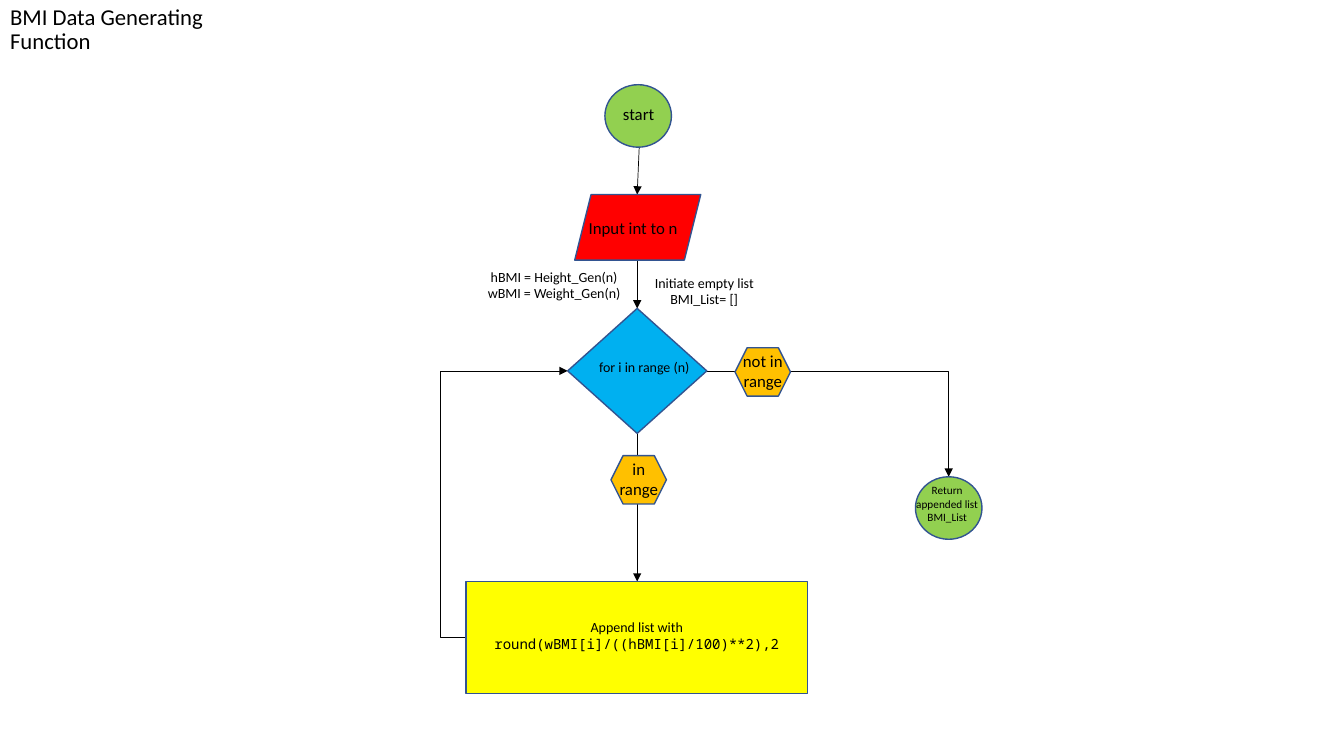
from dataclasses import dataclass

from pptx import Presentation
from pptx.dml.color import RGBColor
from pptx.enum.shapes import MSO_CONNECTOR as Link, MSO_SHAPE as Geom
from pptx.enum.text import MSO_ANCHOR as Anchor, MSO_AUTO_SIZE as AutoSize, PP_ALIGN as Align
from pptx.oxml.ns import qn
from pptx.slide import Slide
from pptx.util import Inches, Pt
from lxml.etree import SubElement

BLACK = RGBColor(0x00, 0x00, 0x00)
OUTLINE = RGBColor(0x32, 0x54, 0x91)
GREEN = RGBColor(0x92, 0xD0, 0x50)
RED = RGBColor(0xFF, 0x00, 0x00)
BLUE = RGBColor(0x00, 0xB0, 0xF0)
ORANGE = RGBColor(0xFF, 0xC0, 0x00)
YELLOW = RGBColor(0xFF, 0xFF, 0x00)
BODY_FONT = "Calibri"
CODE_FONT = "Noto Sans Mono"


@dataclass(frozen=True)
class Node:
    geom: Geom
    left: float
    top: float
    width: float
    height: float
    fill: RGBColor


@dataclass(frozen=True)
class Label:
    lines: tuple[str, ...]
    left: float
    top: float
    width: float
    height: float
    size: float
    align: Align = Align.CENTER
    last_font: str = BODY_FONT


@dataclass(frozen=True)
class Arrow:
    start: tuple[float, float]
    end: tuple[float, float]
    preset: str = "line"
    bend: int | None = None


ARROWS = (
    Arrow((6.34, 1.46), (6.32, 1.93)),
    Arrow((6.32, 2.58), (6.32, 3.06)),
    Arrow((6.32, 4.3), (6.32, 5.77)),
    Arrow((4.62, 6.32), (5.63, 3.68), "bentConnector3", -24700),
    Arrow((7.01, 3.68), (9.41, 4.73), "bentConnector2"),
)

NODES = (
    Node(Geom.OVAL, 6, 0.84, 0.66, 0.62, GREEN),
    Node(Geom.PARALLELOGRAM, 5.7, 1.93, 1.25, 0.65, RED),
    Node(Geom.DIAMOND, 5.63, 3.06, 1.38, 1.24, BLUE),
    Node(Geom.HEXAGON, 6.06, 4.52, 0.55, 0.48, ORANGE),
    Node(Geom.HEXAGON, 7.29, 3.45, 0.55, 0.48, ORANGE),
    Node(Geom.RECTANGLE, 4.62, 5.77, 3.39, 1.11, YELLOW),
    Node(Geom.OVAL, 9.08, 4.73, 0.66, 0.62, GREEN),
)

LABELS = (
    Label(("start",), 6.08, 0.98, 0.52, 0.3, 12, Align.LEFT),
    Label(("Input int to n",), 5.74, 2.11, 1.27, 0.3, 12, Align.LEFT),
    Label(("hBMI = Height_Gen(n)", "wBMI = Weight_Gen(n)"), 4.62, 2.61, 1.75, 0.44, 10),
    Label(("Initiate empty list BMI_List= []",), 6.11, 2.67, 1.75, 0.44, 10),
    Label(("for i in range (n)",), 5.81, 3.51, 1.16, 0.27, 10),
    Label(("in range",), 5.99, 4.5, 0.69, 0.5, 12),
    Label(("not in range",), 7.22, 3.43, 0.69, 0.5, 12),
    Label(("Append list with", "round(wBMI[i]/((hBMI[i]/100)**2),2"),
          4.72, 6.09, 3.19, 0.44, 10, last_font=CODE_FONT),
    Label(("Return appended list BMI_List",), 8.98, 4.75, 0.83, 0.5, 8),
)


def add_title(slide: Slide, text: str) -> None:
    sp = slide.shapes.title
    sp.left, sp.top, sp.width, sp.height = map(Inches, (0, 0.09, 2.92, 0.42))
    tf = sp.text_frame
    tf.text = text
    tf.word_wrap = True
    tf.auto_size = AutoSize.NONE
    tf.vertical_anchor = Anchor.MIDDLE
    p = tf.paragraphs[0]
    p.alignment = Align.LEFT
    p.line_spacing = 0.9
    p.font.name, p.font.size = BODY_FONT, Pt(16.2)
    p.font.color.rgb = BLACK


def add_arrow(slide: Slide, arrow: Arrow) -> None:
    kind = Link.STRAIGHT if arrow.preset == "line" else Link.ELBOW
    cxn = slide.shapes.add_connector(kind, *map(Inches, arrow.start + arrow.end))
    cxn.line.color.rgb = BLACK
    cxn.line.width = Pt(0.5)
    SubElement(cxn.line._get_or_add_ln(), qn("a:tailEnd"), type="triangle")
    props = cxn.element.spPr
    geom = props.find(qn("a:prstGeom"))
    geom.set("prst", arrow.preset)
    if arrow.bend is not None:
        guides = geom.find(qn("a:avLst"))
        SubElement(guides, qn("a:gd"), name="adj1", fmla=f"val {arrow.bend}")
    SubElement(props, qn("a:effectLst"))


def add_node(slide: Slide, node: Node) -> None:
    box = map(Inches, (node.left, node.top, node.width, node.height))
    sp = slide.shapes.add_shape(node.geom, *box)
    sp.shadow.inherit = False
    sp.fill.solid()
    sp.fill.fore_color.rgb = node.fill
    sp.line.color.rgb = OUTLINE
    sp.line.width = Pt(1)


def add_label(slide: Slide, label: Label) -> None:
    box = map(Inches, (label.left, label.top, label.width, label.height))
    tf = slide.shapes.add_textbox(*box).text_frame
    tf.word_wrap = True
    tf.auto_size = AutoSize.SHAPE_TO_FIT_TEXT
    tf.text = "\n".join(label.lines)
    for p in tf.paragraphs:
        p.alignment = label.align
        p.font.name, p.font.size = BODY_FONT, Pt(label.size)
        p.font.color.rgb = BLACK
    tf.paragraphs[-1].font.name = label.last_font


def main() -> None:
    prs = Presentation()
    prs.slide_width, prs.slide_height = Inches(13.33), Inches(7.5)
    slide = prs.slides.add_slide(prs.slide_layouts[5])
    add_title(slide, "BMI Data Generating Function")
    for arrow in ARROWS:
        add_arrow(slide, arrow)
    for node in NODES:
        add_node(slide, node)
    for label in LABELS:
        add_label(slide, label)
    prs.save("out.pptx")


if __name__ == "__main__":
    main()
